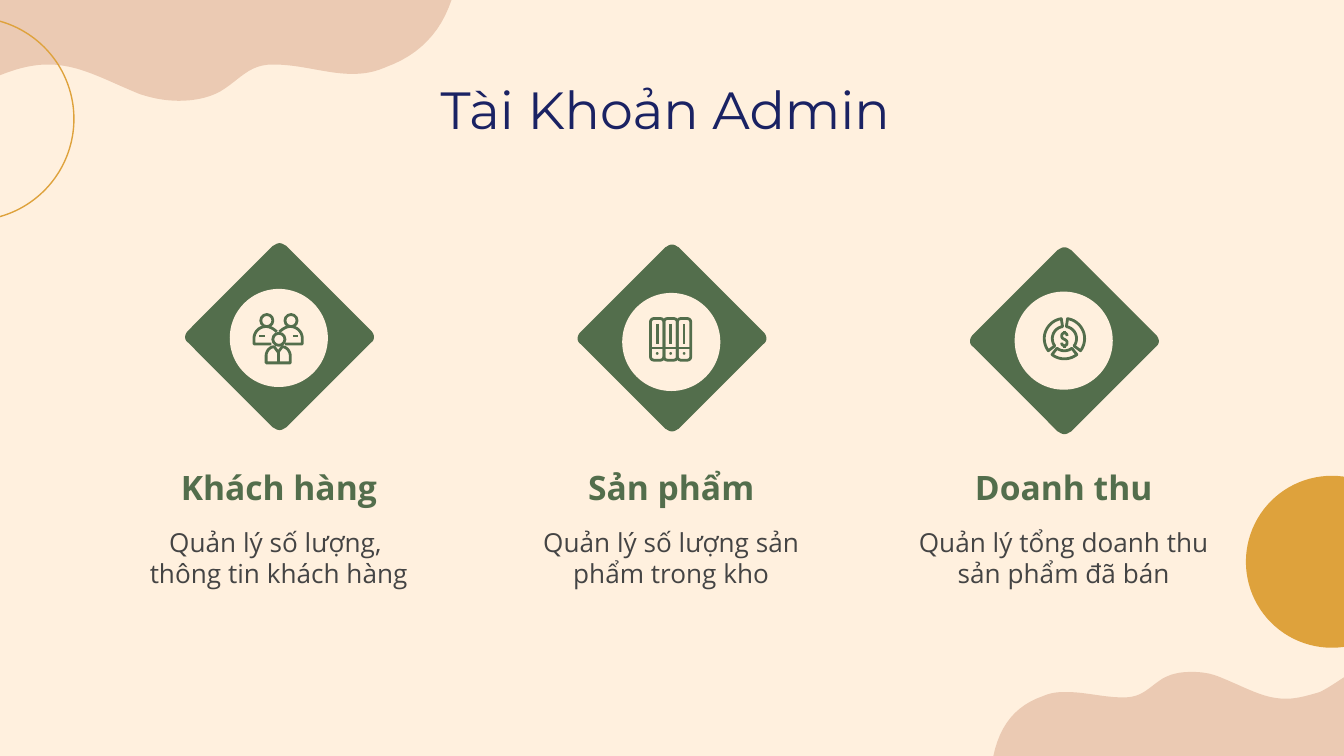
"""Build the admin account slide with three feature columns."""
from dataclasses import dataclass
from math import cos, radians, sin

from lxml import etree
from pptx import Presentation
from pptx.dml.color import RGBColor
from pptx.enum.shapes import MSO_CONNECTOR, MSO_SHAPE
from pptx.enum.text import MSO_ANCHOR, MSO_AUTO_SIZE, PP_ALIGN
from pptx.oxml.ns import qn
from pptx.util import Inches, Pt

OVAL = MSO_SHAPE.OVAL
ROUNDED = MSO_SHAPE.ROUNDED_RECTANGLE
STRAIGHT = MSO_CONNECTOR.STRAIGHT
MIDDLE = MSO_ANCHOR.MIDDLE
CENTER = PP_ALIGN.CENTER
NO_AUTOFIT = MSO_AUTO_SIZE.NONE


@dataclass(frozen=True)
class Theme:
    cream: RGBColor = RGBColor.from_string("FFF0DE")
    blush: RGBColor = RGBColor.from_string("EBCAB3")
    gold: RGBColor = RGBColor.from_string("DEA23C")
    green: RGBColor = RGBColor.from_string("536E4C")
    navy: RGBColor = RGBColor.from_string("1A2263")
    gray: RGBColor = RGBColor.from_string("444444")
    title_font: str = "Montserrat"
    body_font: str = "Open Sans"
    title_size: Pt = Pt(28)
    heading_size: Pt = Pt(18)
    body_size: Pt = Pt(14)
    ring_line: Pt = Pt(0.75)
    icon_line: Pt = Pt(1.5)


theme = Theme()


def paint(shape, fill=None, line=None, width=theme.icon_line):
    """Give a shape a flat fill or outline and no shadow."""
    shape.shadow.inherit = False
    if fill is None:
        shape.fill.background()
    else:
        shape.fill.solid()
        shape.fill.fore_color.rgb = fill
    if line is None:
        shape.line.fill.background()
    else:
        shape.line.color.rgb = line
        shape.line.width = width
    return shape


def draw_path(shapes, start, segments, close=True, **style):
    """Draw line segments (x, y) and cubic curves (three points in a row)."""
    points = [start]
    for segment in segments:
        if len(segment) == 2:
            points.append(segment)
            continue
        (x0, y0), (x1, y1, x2, y2, x3, y3) = points[-1], segment
        for step in range(1, 13):
            t = step / 12
            a, b, c, d = (1 - t) ** 3, 3 * t * (1 - t) ** 2, 3 * t * t * (1 - t), t ** 3
            points.append((a * x0 + b * x1 + c * x2 + d * x3,
                           a * y0 + b * y1 + c * y2 + d * y3))
    points = [(Inches(x), Inches(y)) for x, y in points]
    builder = shapes.build_freeform(*points[0], scale=1.0)
    builder.add_line_segments(points[1:], close=close)
    return paint(builder.convert_to_shape(), **style)


presentation = Presentation()
presentation.slide_width = Inches(10)
presentation.slide_height = Inches(10 * 9 / 16)
slide = presentation.slides.add_slide(presentation.slide_layouts[5])
slide.background.fill.solid()
slide.background.fill.fore_color.rgb = theme.cream
shapes = slide.shapes

draw_path(shapes, (10, 5.63), [
    (10, 5.04), (9.94, 5.08, 9.88, 5.12, 9.82, 5.15), (9.72, 5.18, 9.64, 5.2, 9.57, 5.2),
    (9.4, 5.2, 9.28, 5.12, 9.08, 5.04), (9.01, 5.01, 8.94, 5, 8.87, 5),
    (8.79, 5, 8.72, 5.01, 8.65, 5.05), (8.54, 5.12, 8.5, 5.19, 8.36, 5.19),
    (8.21, 5.19, 8.08, 5.15, 7.94, 5.15), (7.88, 5.15, 7.83, 5.15, 7.76, 5.18),
    (7.56, 5.25, 7.44, 5.39, 7.39, 5.63)], fill=theme.blush)
sun = shapes.add_shape(OVAL, Inches(9.27), Inches(3.54), Inches(1.28), Inches(1.28))
paint(sun, fill=theme.gold)
draw_path(shapes, (1.33, 0.75), [
    (1.44, 0.75, 1.55, 0.73, 1.64, 0.68), (1.79, 0.59, 1.85, 0.48, 2.03, 0.48),
    (2.25, 0.48, 2.43, 0.55, 2.62, 0.55), (2.7, 0.55, 2.78, 0.54, 2.87, 0.5),
    (3.12, 0.41, 3.28, 0.24, 3.36, 0), (0, 0), (0, 0.56),
    (0.15, 0.5, 0.26, 0.48, 0.36, 0.48), (0.59, 0.48, 0.77, 0.59, 1.04, 0.7),
    (1.13, 0.73, 1.23, 0.75, 1.33, 0.75)], fill=theme.blush)
ring = shapes.add_shape(OVAL, Inches(-0.96), Inches(0.13), Inches(1.51), Inches(1.51))
paint(ring, line=theme.gold, width=theme.ring_line)

title = shapes.title
title.left, title.top, title.width, title.height = (
    Inches(0.78), Inches(0.49), Inches(8.44), Inches(0.63))
texts = [(title, "Tài Khoản Admin ", theme.title_font, theme.title_size, theme.navy, False)]

columns = [
    ("Khách hàng", "Quản lý số lượng, \vthông tin khách hàng", 1.81, 2.15),
    ("Sản phẩm", "Quản lý số lượng sản phẩm trong kho", 1.82, 2.18),
    ("Doanh thu", "Quản lý tổng doanh thu sản phẩm đã bán", 1.84, 2.17),
]
for index, (heading, body, top, disc_top) in enumerate(columns):
    center = 5 + 2.92 * (index - 1)
    left = Inches(center - 1.24)
    heading_box = shapes.add_textbox(left, Inches(3.41), Inches(2.47), Inches(0.43))
    body_box = shapes.add_textbox(left, Inches(3.75), Inches(2.47), Inches(0.8))
    texts += [
        (heading_box, heading, theme.body_font, theme.heading_size, theme.green, True),
        (body_box, body, theme.body_font, theme.body_size, theme.gray, False),
    ]
    outline = [
        (-0.02, 0, -0.03, 0.01, -0.05, 0.02), (-0.68, 0.65),
        (-0.71, 0.68, -0.71, 0.72, -0.68, 0.74), (-0.05, 1.37),
        (-0.03, 1.38, -0.02, 1.39, 0, 1.39), (0.02, 1.39, 0.03, 1.38, 0.05, 1.37),
        (0.68, 0.74), (0.71, 0.72, 0.71, 0.68, 0.68, 0.65), (0.05, 0.02),
        (0.03, 0.01, 0.02, 0, 0, 0),
    ]
    diamond = [tuple(value + (top if place % 2 else center)
                     for place, value in enumerate(segment)) for segment in outline]
    draw_path(shapes, (center, top), diamond, fill=theme.green)
    disc = shapes.add_shape(OVAL, Inches(center - 0.37), Inches(disc_top),
                            Inches(0.73), Inches(0.73))
    paint(disc, fill=theme.cream)

for box, text, font_name, size, color, bold in texts:
    frame = box.text_frame
    frame.word_wrap = True
    frame.auto_size = NO_AUTOFIT
    frame.vertical_anchor = MIDDLE
    frame.margin_left = frame.margin_right = Inches(0.1)
    frame.margin_top = frame.margin_bottom = Inches(0.1)
    frame.text = text
    paragraph = frame.paragraphs[0]
    paragraph.alignment = CENTER
    font = paragraph.font
    font.name, font.size, font.bold = font_name, size, bold
    font.color.rgb = color

strokes = [(2.07, 2.62, 2.07, 2.7), (4.84, 2.59, 5.14, 2.59),
           (7.92, 2.46, 7.92, 2.48), (7.92, 2.57, 7.92, 2.59)]

for head_x, head_y in [(1.98, 2.38), (2.16, 2.38), (2.07, 2.52)]:
    head = shapes.add_shape(OVAL, Inches(head_x - 0.04), Inches(head_y - 0.04),
                            Inches(0.09), Inches(0.09))
    paint(head, line=theme.green)
shoulder = [(1.89, 2.56), (1.89, 2.52), (1.89, 2.47, 1.93, 2.43, 1.98, 2.43),
            (2.01, 2.43, 2.04, 2.45, 2.06, 2.47)]
mirrored = [tuple(value if place % 2 else 4.14 - value
                  for place, value in enumerate(segment)) for segment in shoulder]
draw_path(shapes, (2.02, 2.56), shoulder, close=False, line=theme.green)
draw_path(shapes, (2.12, 2.56), mirrored, close=False, line=theme.green)
draw_path(shapes, (1.98, 2.7), [
    (1.98, 2.65), (1.98, 2.61, 2.01, 2.58, 2.04, 2.58), (2.07, 2.62), (2.1, 2.58),
    (2.13, 2.58, 2.16, 2.61, 2.16, 2.65), (2.16, 2.7)], line=theme.green)
strokes += [(x, 2.5, x + 0.04, 2.5) for x in (1.93, 2.18)]

for index in range(3):
    left = 4.84 + 0.1 * index
    binder = shapes.add_shape(ROUNDED, Inches(left), Inches(2.37), Inches(0.1), Inches(0.31))
    binder.adjustments[0] = 0.25
    paint(binder, line=theme.green)
    dot = shapes.add_shape(OVAL, Inches(left + 0.04), Inches(2.62), Inches(0.02), Inches(0.02))
    paint(dot, fill=theme.green)
    strokes.append((left + 0.05, 2.41, left + 0.05, 2.56))

for start, end in [(143, 261), (-81, 37), (52, 128)]:
    angles = [radians(start + (end - start) * step / 20) for step in range(21)]
    arcs = [(0.15, angles), (0.09, angles[::-1])]
    band = [(7.92 + radius * cos(angle), 2.52 + radius * sin(angle))
            for radius, sweep in arcs for angle in sweep]
    draw_path(shapes, band[0], band[1:], line=theme.green)
draw_path(shapes, (7.94, 2.5), [
    (7.94, 2.47, 7.9, 2.47, 7.9, 2.5), (7.9, 2.53, 7.94, 2.52, 7.94, 2.55),
    (7.94, 2.58, 7.9, 2.58, 7.9, 2.55)], close=False, line=theme.green)

for stroke in strokes:
    connector = shapes.add_connector(STRAIGHT, *map(Inches, stroke))
    connector.line.color.rgb = theme.green
    connector.line.width = theme.icon_line
    etree.SubElement(connector._element.spPr, qn("a:effectLst"))

presentation.save("out.pptx")
